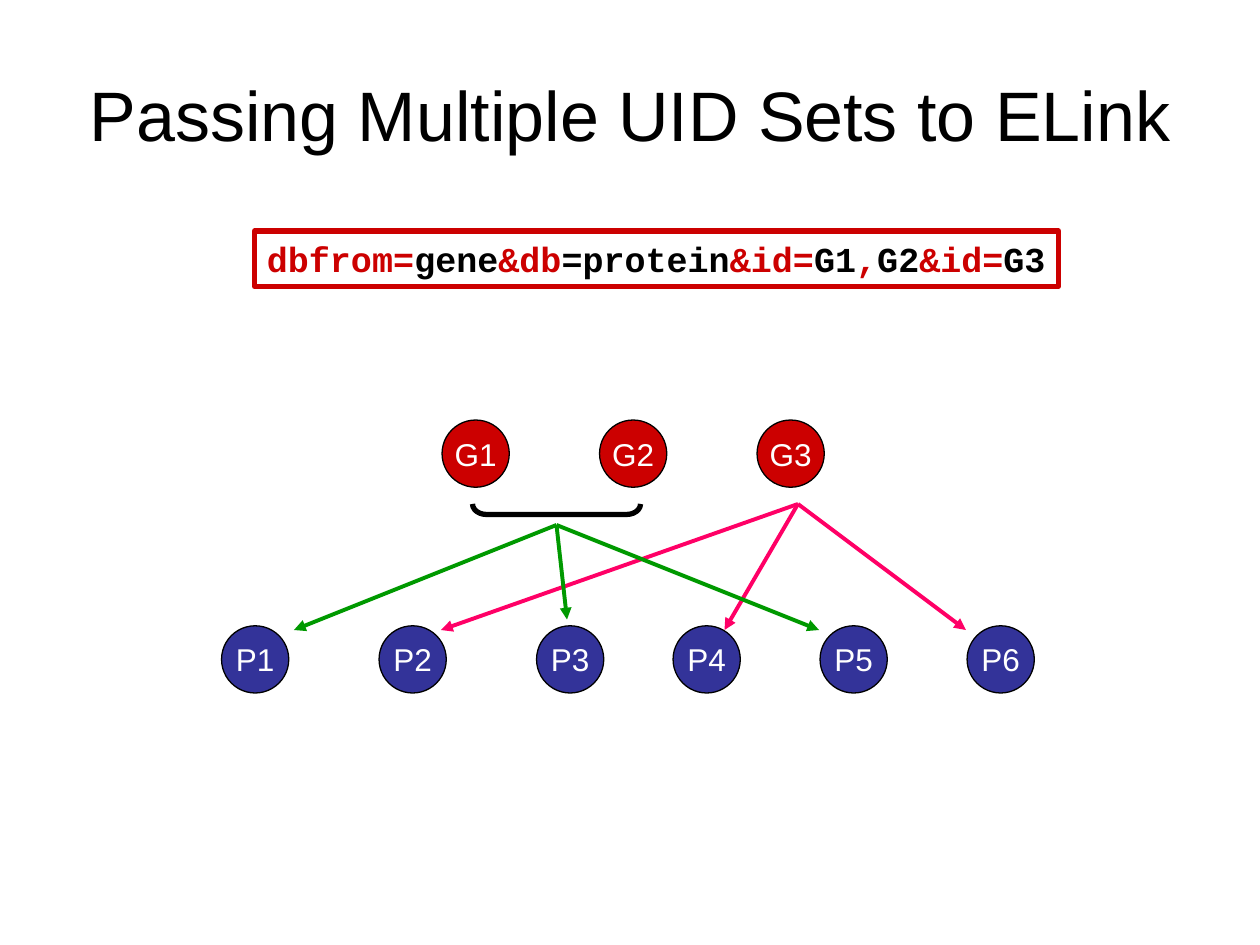
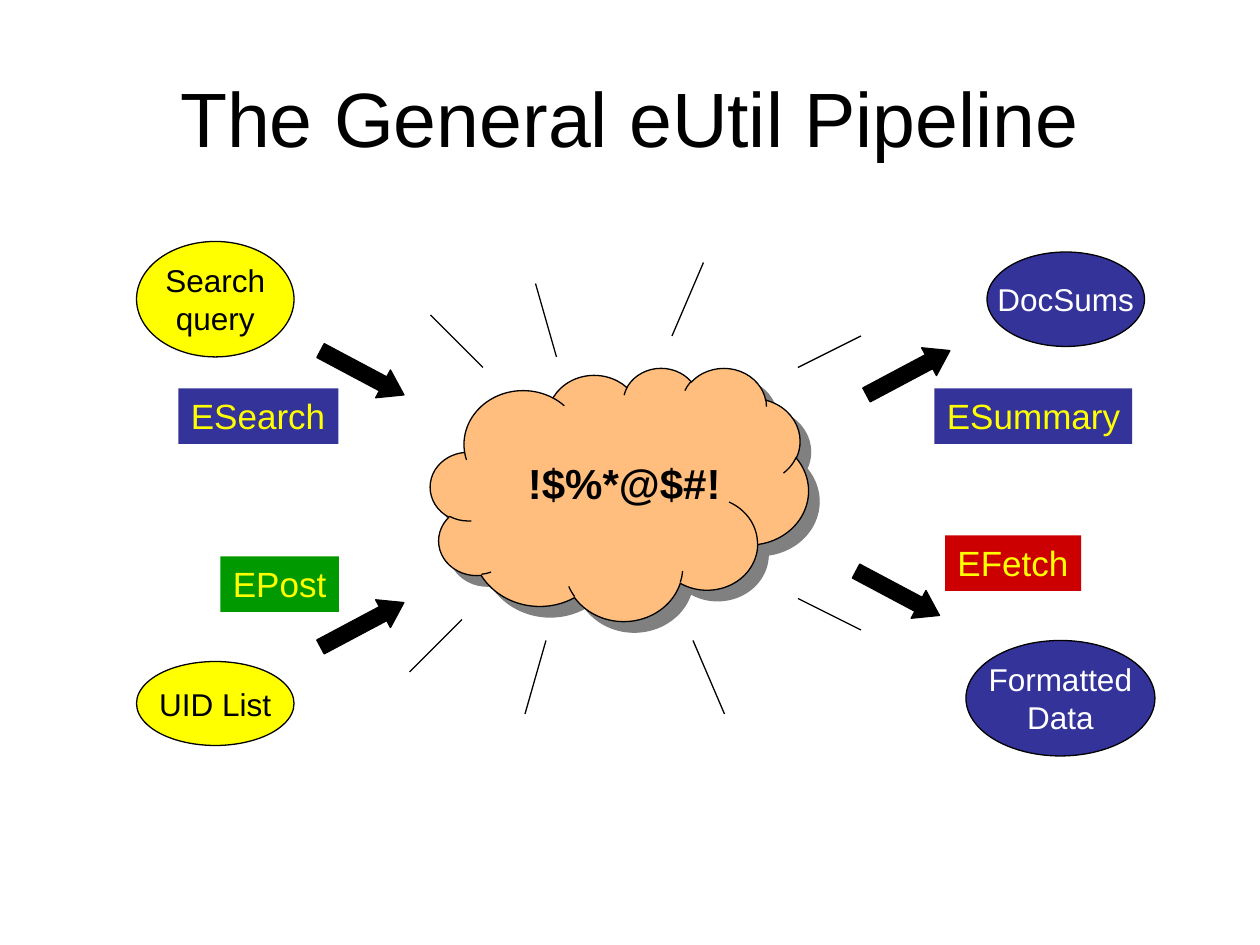
"""Build two slides on ELink UID sets and the general eUtil pipeline."""
from itertools import chain
from lxml.etree import SubElement
from pptx import Presentation
from pptx.dml.color import RGBColor
from pptx.enum.shapes import MSO_CONNECTOR, MSO_SHAPE
from pptx.enum.text import MSO_ANCHOR, PP_ALIGN
from pptx.oxml.ns import qn
from pptx.util import Inches, Pt

BLACK = RGBColor(0x00, 0x00, 0x00)
WHITE = RGBColor(0xFF, 0xFF, 0xFF)
RED = RGBColor(0xCC, 0x00, 0x00)
INDIGO = RGBColor(0x33, 0x33, 0x99)
GREEN = RGBColor(0x00, 0x99, 0x00)
PINK = RGBColor(0xFF, 0x00, 0x66)
YELLOW = RGBColor(0xFF, 0xFF, 0x00)
PEACH = RGBColor(0xFF, 0xBE, 0x7D)
SHADOW_GREY = "808080"

CELLS_PER_INCH = 12
COLUMNS, ROWS = 120, 90
THIN = 0.75

TITLE_FORMAT = {"name": "Arial", "size": Pt(44)}
LONG_TITLE_FORMAT = {"name": "Arial", "size": Pt(40)}
NODE_FORMAT = {"name": "Arial", "size": Pt(18)}
TOOL_FORMAT = {"name": "Arial", "size": Pt(20)}
NOISE_FORMAT = {"name": "Arial", "size": Pt(24), "bold": True}
CODE_FORMAT = {"name": "Courier New", "size": Pt(20), "bold": True}

CENTRED = {"word_wrap": False, "vertical_anchor": MSO_ANCHOR.MIDDLE}
TITLE_FRAME = {**CENTRED, "word_wrap": True}
TOP_LEFT = {"word_wrap": False, "vertical_anchor": MSO_ANCHOR.TOP}

QUERY = [("dbfrom=", RED), ("gene", BLACK), ("&db", RED), ("=protein", BLACK),
         ("&id=", RED), ("G1", BLACK), (",", RED), ("G2", BLACK),
         ("&id=", RED), ("G3", BLACK)]
QUERY_BOX = (24.24, 22, 76.56, 5.28)
NODE_SIZE = 6.4
NODE_ROWS = [
    (40, RED, {"G1": 42.1, "G2": 57.1, "G3": 72.1}),
    (59.6, INDIGO, {"P1": 21.1, "P2": 36.1, "P3": 51.1,
                    "P4": 64.1, "P5": 78.1, "P6": 92.1}),
]
PAIR_LINKS = [(GREEN, (53, 50), end) for end in [(28, 60), (54, 59), (78, 60)]]
SINGLE_LINKS = [(PINK, (76, 48), end) for end in [(42, 60), (69, 60), (92, 60)]]
PAIR_BRACKET = (52.5, 40.5, 1, 16)

CLOUD = (41, 35, 36, 24.12)
NOISE = ("!$%*@$#!", (49.1, 43, 20.76, 6))
RAYS = [((41, 30), (46, 35)), ((51, 27), (53, 34)), ((67, 25), (64, 32)),
        ((82, 32), (76, 35)), ((39, 64), (44, 59)), ((50, 68), (52, 61)),
        ((69, 68), (66, 61)), ((82, 60), (76, 57))]
ENDPOINTS = [
    ("UID List", (13, 63, 15, 8), YELLOW, BLACK),
    ("Search\nquery", (13, 23, 15, 11), YELLOW, BLACK),
    ("DocSums", (94, 24, 15, 9), INDIGO, WHITE),
    ("Formatted\nData", (92, 61, 18, 11), INDIGO, WHITE),
]
FLOWS = [(30, 34, 28), (30, 58, -28), (82, 34, -28), (81, 55, 28)]
FLOW_SIZE = (9, 3)
TOOLS = [("ESearch", 17, 37, 15.24, INDIGO), ("EPost", 21, 53, 11.28, GREEN),
         ("ESummary", 89, 37, 18.84, INDIGO), ("EFetch", 90, 51, 12.96, RED)]
TOOL_HEIGHT = 5.28


def cells(*lengths):
    return [Inches(length / CELLS_PER_INCH) for length in lengths]


def apply(target, values):
    for key, value in values.items():
        setattr(target, key, value)


def add_part(slide, kind, box, fill=None, outline=None, width=THIN):
    part = slide.shapes.add_shape(kind, *cells(*box))
    part.shadow.inherit = False
    for area, colour in ((part.fill, fill), (part.line.fill, outline)):
        if colour is None:
            area.background()
        else:
            area.solid()
            area.fore_color.rgb = colour
    if outline is not None:
        part.line.width = Pt(width)
    return part


def write(part, lines, font_format, frame_format, align):
    """Fill a part with lines, each a list of (words, colour) pairs."""
    frame = part.text_frame
    apply(frame, frame_format)
    for index, line in enumerate(lines):
        paragraph = frame.add_paragraph() if index else frame.paragraphs[0]
        paragraph.alignment = align
        for words, colour in line:
            run = paragraph.add_run()
            run.text = words
            apply(run.font, font_format)
            run.font.color.rgb = colour


def plain(text, colour):
    return [[(line, colour)] for line in text.split("\n")]


def add_title(slide, text, font_format, height):
    title = slide.shapes.add_textbox(*cells(6, 3.6, COLUMNS - 12, height))
    write(title, plain(text, BLACK), font_format, TITLE_FRAME, PP_ALIGN.CENTER)


def add_ellipse(slide, text, box, fill, colour):
    ellipse = add_part(slide, MSO_SHAPE.OVAL, box, fill, BLACK)
    write(ellipse, plain(text, colour), NODE_FORMAT, CENTRED, PP_ALIGN.CENTER)


def add_line(slide, start, end, colour=BLACK, width=THIN, arrow=False):
    line = slide.shapes.add_connector(MSO_CONNECTOR.STRAIGHT, *cells(*start, *end))
    line.line.color.rgb = colour
    line.line.width = Pt(width)
    if arrow:
        SubElement(line.line._get_or_add_ln(), qn("a:tailEnd"), type="triangle")
    SubElement(line._element.spPr, qn("a:effectLst"))


def add_drop_shadow(part):
    effects = part._element.spPr.find(qn("a:effectLst"))
    shadow = SubElement(effects, qn("a:outerShdw"), dist=str(Pt(8.5)),
                        dir=str(45 * 60000), algn="ctr", rotWithShape="0")
    SubElement(shadow, qn("a:srgbClr"), val=SHADOW_GREY)


def build_uid_sets(slide):
    add_title(slide, "Passing Multiple UID Sets to ELink", LONG_TITLE_FORMAT, 14.4)
    for top, fill, nodes in NODE_ROWS:
        for name, left in nodes.items():
            add_ellipse(slide, name, (left, top, NODE_SIZE, NODE_SIZE), fill, WHITE)
    query = add_part(slide, MSO_SHAPE.RECTANGLE, QUERY_BOX, outline=RED, width=3)
    write(query, [QUERY], CODE_FORMAT, TOP_LEFT, PP_ALIGN.LEFT)
    for colour, start, end in chain.from_iterable(zip(PAIR_LINKS, SINGLE_LINKS)):
        add_line(slide, start, end, colour, 2.25, arrow=True)
    bracket = add_part(slide, MSO_SHAPE.RIGHT_BRACKET, PAIR_BRACKET,
                       outline=BLACK, width=3)
    bracket.adjustments[0] = 1.33
    bracket.rotation = 90


def build_pipeline(slide):
    add_title(slide, "The General eUtil Pipeline", TITLE_FORMAT, 15)
    add_drop_shadow(add_part(slide, MSO_SHAPE.CLOUD, CLOUD, PEACH, BLACK))
    for start, end in RAYS:
        add_line(slide, start, end)
    noise_text, noise_box = NOISE
    noise = slide.shapes.add_textbox(*cells(*noise_box))
    write(noise, plain(noise_text, BLACK), NOISE_FORMAT, TOP_LEFT, PP_ALIGN.LEFT)
    for endpoint in ENDPOINTS:
        add_ellipse(slide, *endpoint)
    for left, top, angle in FLOWS:
        flow = add_part(slide, MSO_SHAPE.RIGHT_ARROW, (left, top, *FLOW_SIZE),
                        BLACK, BLACK)
        flow.adjustments[1] = 0.75
        flow.rotation = angle
    for name, left, top, width, fill in TOOLS:
        tool = add_part(slide, MSO_SHAPE.RECTANGLE,
                        (left, top, width, TOOL_HEIGHT), fill)
        write(tool, plain(name, YELLOW), TOOL_FORMAT, TOP_LEFT, PP_ALIGN.LEFT)


def main():
    deck = Presentation()
    deck.slide_width, deck.slide_height = cells(COLUMNS, ROWS)
    for build in (build_uid_sets, build_pipeline):
        build(deck.slides.add_slide(deck.slide_layouts[6]))
    deck.save("out.pptx")


if __name__ == "__main__":
    main()
